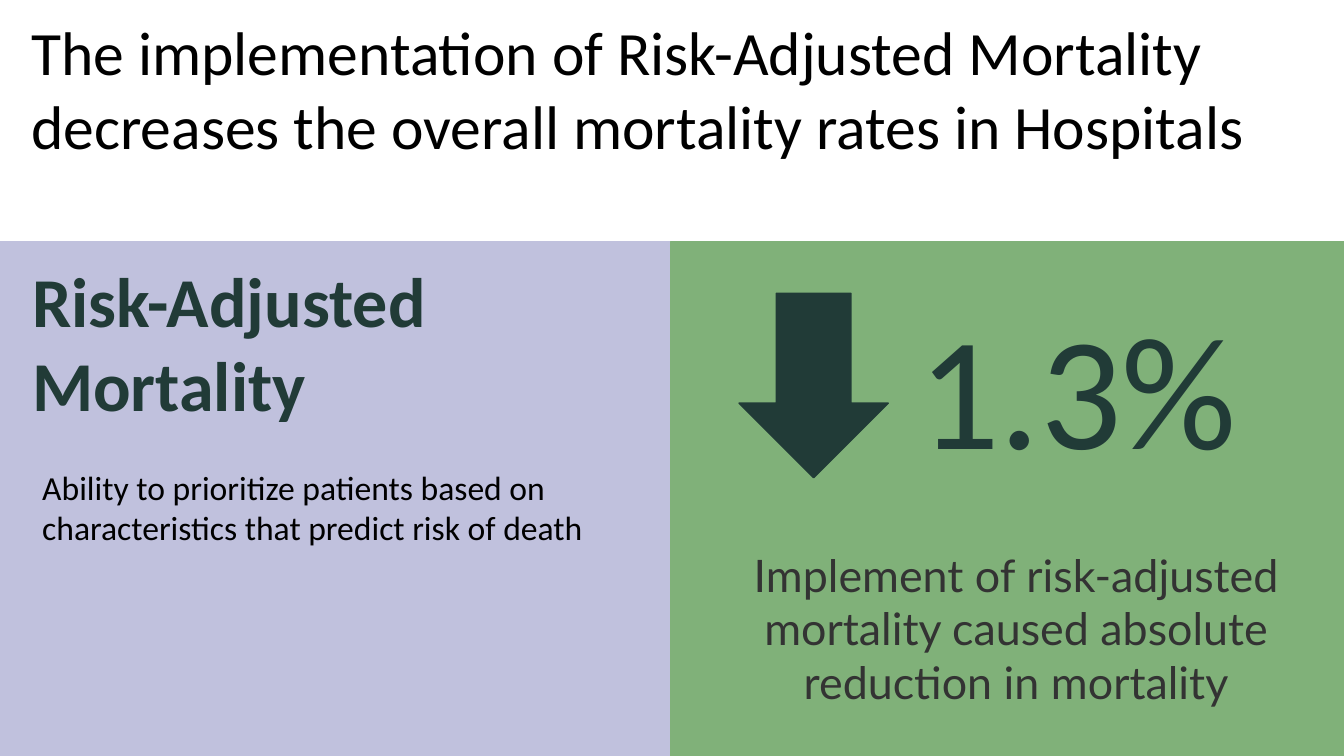
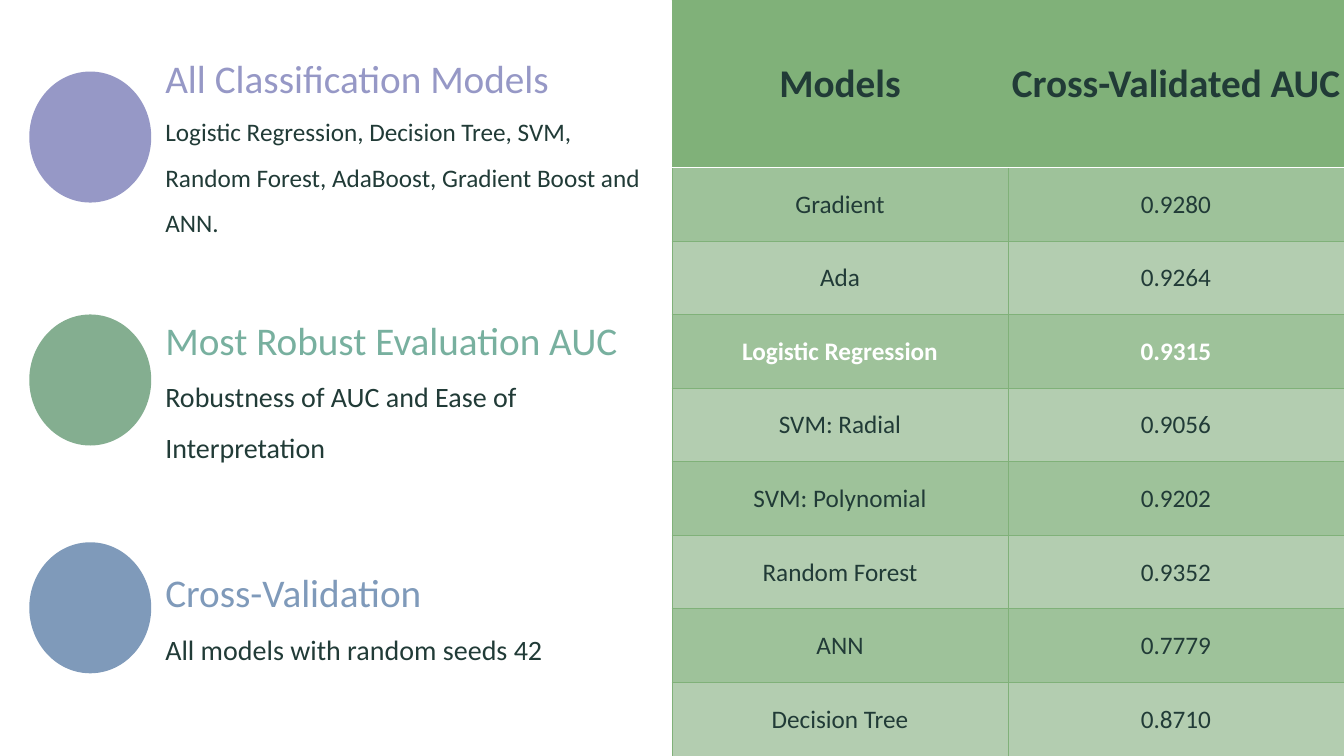
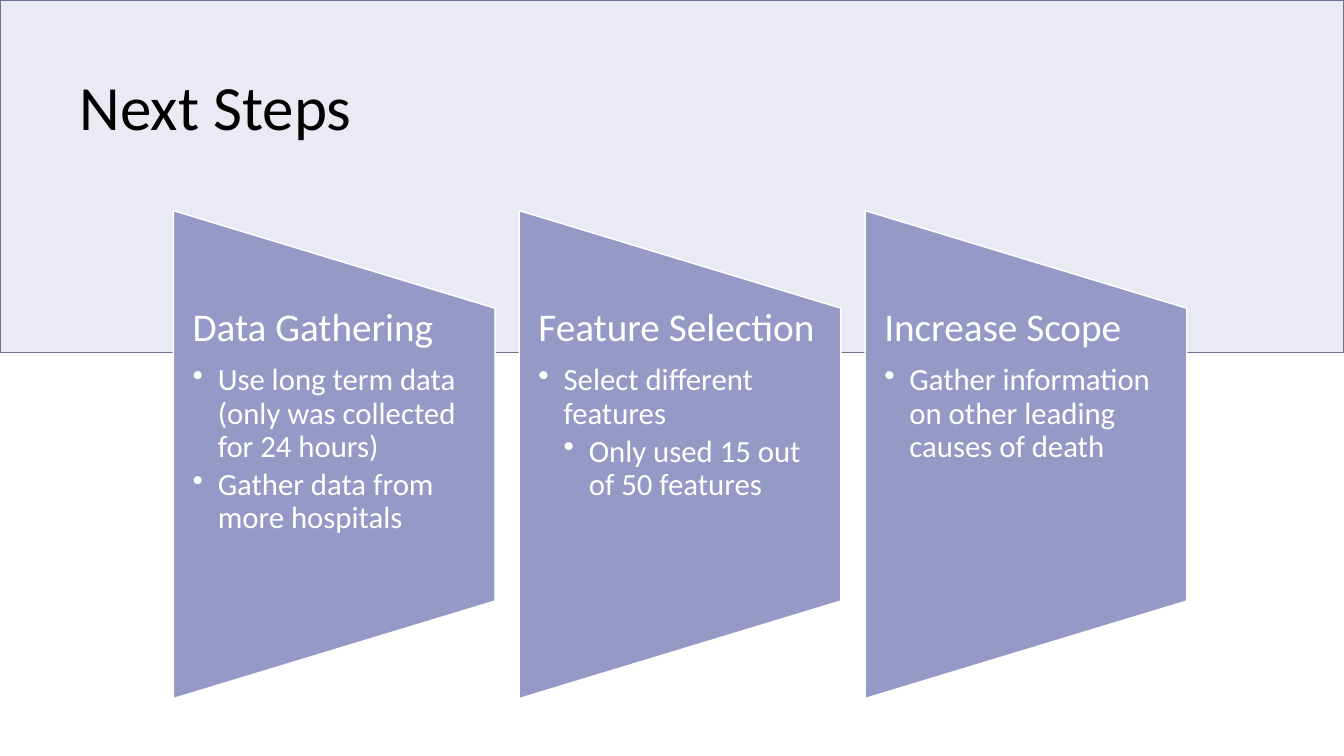
from dataclasses import dataclass

from lxml.etree import SubElement
from pptx import Presentation
from pptx.dml.color import RGBColor
from pptx.enum.shapes import MSO_SHAPE as Preset
from pptx.enum.text import MSO_ANCHOR as Anchor, MSO_AUTO_SIZE as AutoSize, PP_ALIGN as Align
from pptx.oxml.ns import qn
from pptx.util import Inches, Pt


@dataclass(frozen=True)
class Theme:
    font: str = "Calibri"
    accent_font: str = "Lato"
    black: str = "000000"
    white: str = "FFFFFF"
    gray: str = "333333"
    dark: str = "213B37"
    green: str = "80B179"
    green_row: str = "9EC29A"
    green_row_light: str = "B3CDB0"
    sage: str = "84AE90"
    teal: str = "78B09F"
    blue: str = "7F9ABA"
    violet: str = "9698C6"
    lavender: str = "C0C1DD"
    mist: str = "EAEAF4"
    band_line: str = "6F7092"
    title: int = 44
    next_title: int = 45
    figure: int = 115
    panel_heading: int = 50
    claim: int = 32
    heading: int = 28
    body: int = 24
    bullet: int = 22
    detail: int = 20
    small: int = 18


THEME = Theme()
SLIDE_WIDTH, SLIDE_HEIGHT = 13.33, 7.5
DEFAULT_INSETS = (0.1, 0.05, 0.1, 0.05)

MORTALITY_TITLE = ("The implementation of Risk-Adjusted Mortality "
                   "decreases the overall mortality rates in Hospitals")
MORTALITY_HEADING = "Risk-Adjusted Mortality"
MORTALITY_BODY = "Ability to prioritize patients based on characteristics that predict risk of death"
REDUCTION = "1.3%"
REDUCTION_CLAIM = "Implement of risk-adjusted mortality caused absolute reduction in mortality"

# heading, detail, detail size, heading colour, circle colour, circle top, text top, text height
METHODS = [
    ("All Classification Models",
     "Logistic Regression, Decision Tree, SVM, Random Forest, AdaBoost, Gradient Boost and ANN.",
     THEME.small, THEME.violet, THEME.violet, 0.71, 0.32, 2.02),
    ("Most Robust Evaluation AUC", "Robustness of AUC and Ease of Interpretation",
     THEME.detail, THEME.teal, THEME.sage, 3.12, 2.57, 2.36),
    ("Cross-Validation", "All models with random seeds 42",
     THEME.detail, THEME.blue, THEME.blue, 5.38, 5.43, 1.15),
]

AUC_HEADER = ("Models", "Cross-Validated AUC")
AUC_ROWS = [
    ("Gradient", "0.9280"),
    ("Ada", "0.9264"),
    ("Logistic Regression", "0.9315"),
    ("SVM: Radial", "0.9056"),
    ("SVM: Polynomial", "0.9202"),
    ("Random Forest", "0.9352"),
    ("ANN", "0.7779"),
    ("Decision Tree", "0.8710"),
]
CHOSEN_MODEL = "Logistic Regression"

NEXT_TITLE = "Next Steps"
# heading, then bullets as (level, text)
NEXT_STEPS = [
    ("Data Gathering", [(1, "Use long term data (only was collected for 24 hours)"),
                        (1, "Gather data from more hospitals")]),
    ("Feature Selection", [(1, "Select different features"),
                           (2, "Only used 15 out of 50 features")]),
    ("Increase Scope", [(1, "Gather information on other leading causes of death")]),
]


def rgb(color):
    return RGBColor.from_string(color)


def write(frame, text, *, size, color, font=THEME.font, bold=False, align=Align.LEFT,
          line_spacing=None, space_after=0, level=0, same_paragraph=False):
    """Append text as a paragraph, or after a line break in the last one."""
    paragraph = frame.paragraphs[-1]
    if same_paragraph:
        paragraph.add_line_break()
    else:
        if paragraph.runs:
            paragraph = frame.add_paragraph()
        paragraph.alignment = align
        paragraph.space_after = Pt(space_after)
        if line_spacing:
            paragraph.line_spacing = line_spacing
        if level:
            add_bullet(paragraph, level)
    run = paragraph.add_run()
    run.text = text
    run.font.name, run.font.size, run.font.bold = font, Pt(size), bold
    run.font.color.rgb = rgb(color)


def add_bullet(paragraph, level):
    paragraph.level = level
    properties = paragraph._p.get_or_add_pPr()
    properties.set("marL", str(Inches(0.25 * level)))
    properties.set("indent", str(Inches(-0.25)))
    SubElement(properties, qn("a:buChar"), char="•")


def set_insets(target, insets):
    (target.margin_left, target.margin_top,
     target.margin_right, target.margin_bottom) = map(Inches, insets)


def prepare_frame(shape, anchor=Anchor.TOP, insets=DEFAULT_INSETS):
    frame = shape.text_frame
    frame.word_wrap = True
    frame.auto_size = AutoSize.NONE
    frame.vertical_anchor = anchor
    set_insets(frame, insets)
    return frame


def add_frame(slide, left, top, width, height, **options):
    box = slide.shapes.add_textbox(*map(Inches, (left, top, width, height)))
    return prepare_frame(box, **options)


def add_block(slide, preset, left, top, width, height, fill, line=None):
    shape = slide.shapes.add_shape(preset, *map(Inches, (left, top, width, height)))
    shape.shadow.inherit = False
    shape.fill.solid()
    shape.fill.fore_color.rgb = rgb(fill)
    if line:
        shape.line.color.rgb = rgb(line)
        shape.line.width = Pt(1)
    else:
        shape.line.fill.background()
    return shape


def set_title(slide, text, left, top, width, height, size):
    """Place the title placeholder in front of everything drawn so far."""
    title = slide.shapes.title
    title.left, title.top, title.width, title.height = map(Inches, (left, top, width, height))
    write(prepare_frame(title), text, size=size, color=THEME.black)
    slide.shapes._spTree.append(title._element)


def set_borders(cell, **sides):
    """Draw cell borders; each side L, R, T, B is (colour, points)."""
    properties = cell._tc.get_or_add_tcPr()
    for side, (color, points) in sides.items():
        line = SubElement(properties, qn(f"a:ln{side}"), w=str(Pt(points)))
        SubElement(SubElement(line, qn("a:solidFill")), qn("a:srgbClr"), val=color)


def build_mortality(presentation):
    slide = presentation.slides.add_slide(presentation.slide_layouts[5])
    split, top = 6.65, 2.4
    for left, width, color in ((0, split, THEME.lavender),
                               (split, SLIDE_WIDTH - split, THEME.green)):
        add_block(slide, Preset.RECTANGLE, left, top, width, SLIDE_HEIGHT - top, color, color)
    write(add_frame(slide, 0.22, 2.51, 5.51, 2), MORTALITY_HEADING,
          size=THEME.panel_heading, color=THEME.dark, bold=True)
    write(add_frame(slide, 0.32, 4.58, 5.69, 2.8), MORTALITY_BODY,
          size=THEME.body, color=THEME.black)
    write(add_frame(slide, 7.21, 5.38, 5.74, 1.72), REDUCTION_CLAIM, size=THEME.claim,
          color=THEME.gray, font=THEME.accent_font, align=Align.CENTER)
    write(add_frame(slide, 8.8, 2.81, 3.78, 2.04), REDUCTION,
          size=THEME.figure, color=THEME.dark, align=Align.CENTER)
    add_block(slide, Preset.DOWN_ARROW, 7.33, 2.91, 1.48, 1.83, THEME.dark, THEME.dark)
    set_title(slide, MORTALITY_TITLE, 0.21, 0.09, 12.94, 2.3, THEME.title)


def add_auc_table(slide):
    left, header_height = SLIDE_WIDTH / 2, 1.66
    row_height = (SLIDE_HEIGHT - header_height) / len(AUC_ROWS)
    rows = [AUC_HEADER, *AUC_ROWS]
    table = slide.shapes.add_table(len(rows), len(AUC_HEADER), Inches(left), 0,
                                   Inches(left), Inches(SLIDE_HEIGHT)).table
    table.first_row = table.horz_banding = False
    green_line, header_line = (THEME.green, 0.5), (THEME.white, 1)
    for row_index, values in enumerate(rows):
        is_header, is_chosen = row_index == 0, values[0] == CHOSEN_MODEL
        table.rows[row_index].height = Inches(header_height if is_header else row_height)
        if is_header:
            fill = THEME.green
        else:
            fill = THEME.green_row if row_index % 2 else THEME.green_row_light
        for column_index, value in enumerate(values):
            cell = table.cell(row_index, column_index)
            set_borders(cell, L=green_line, R=green_line,
                        T=header_line if row_index == 1 else green_line,
                        B=header_line if is_header else green_line)
            cell.fill.solid()
            cell.fill.fore_color.rgb = rgb(fill)
            cell.vertical_anchor = Anchor.MIDDLE
            set_insets(cell, (0.01, 0.01, 0.01, 0))
            write(cell.text_frame, value, align=Align.CENTER,
                  size=THEME.heading if is_header else THEME.small,
                  color=THEME.white if is_chosen else THEME.dark,
                  bold=is_header or is_chosen)


def build_models(presentation):
    slide = presentation.slides.add_slide(presentation.slide_layouts[6])
    add_auc_table(slide)
    for (heading, detail, detail_size, heading_color, circle_color,
         circle_top, text_top, text_height) in METHODS:
        add_block(slide, Preset.OVAL, 0.29, circle_top, 1.21, 1.3, circle_color)
        frame = add_frame(slide, 1.64, text_top, 4.76, text_height,
                          anchor=Anchor.MIDDLE, insets=(0, 0, 0, 0))
        write(frame, heading, size=THEME.heading, color=heading_color, line_spacing=1.5)
        write(frame, detail, size=detail_size, color=THEME.dark, same_paragraph=True)


def build_next_steps(presentation):
    slide = presentation.slides.add_slide(presentation.slide_layouts[5])
    add_block(slide, Preset.RECTANGLE, 0, 0, SLIDE_WIDTH, 3.5, THEME.mist, THEME.band_line)
    first_left, pitch, panel_width, panel_height, middle = 1.72, 3.43, 3.19, 4.84, 4.51
    text_height = 2.91
    for index, (heading, bullets) in enumerate(NEXT_STEPS):
        left = first_left + index * pitch
        # The panel is turned a quarter, so its own width is the height seen.
        panel = add_block(slide, Preset.FLOWCHART_MANUAL_OPERATION,
                          left + (panel_width - panel_height) / 2, middle - panel_width / 2,
                          panel_height, panel_width, THEME.violet, THEME.white)
        panel.rotation = 270
        frame = add_frame(slide, left, middle - text_height / 2, panel_width, text_height,
                          insets=(0.19, 0, 0.2, 0))
        write(frame, heading, size=THEME.heading, color=THEME.white,
              line_spacing=0.9, space_after=10)
        for level, text in bullets:
            write(frame, text, size=THEME.bullet, color=THEME.white,
                  line_spacing=0.9, space_after=3.5, level=level)
    set_title(slide, NEXT_TITLE, 0.69, 0.62, 3.78, 0.86, THEME.next_title)


def main():
    presentation = Presentation()
    presentation.slide_width = Inches(SLIDE_WIDTH)
    presentation.slide_height = Inches(SLIDE_HEIGHT)
    build_mortality(presentation)
    build_models(presentation)
    build_next_steps(presentation)
    presentation.save("out.pptx")


if __name__ == "__main__":
    main()
